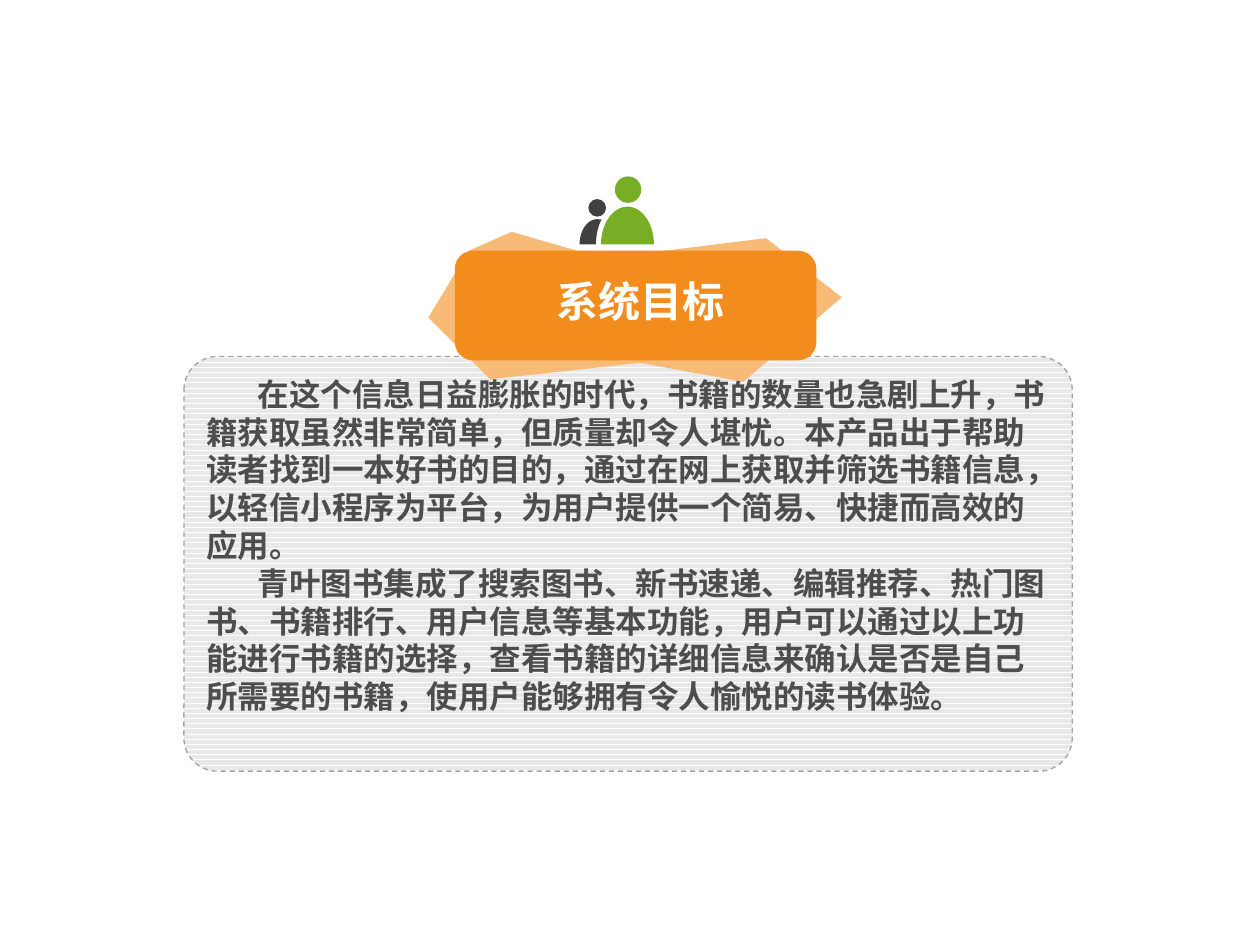
from math import cos, pi, sin

from pptx import Presentation
from pptx.dml.color import RGBColor
from pptx.enum.dml import MSO_LINE, MSO_PATTERN
from pptx.enum.shapes import MSO_SHAPE
from pptx.enum.text import MSO_ANCHOR, PP_ALIGN
from pptx.oxml.ns import qn
from pptx.util import Inches, Pt

# Content
TITLE = "系统目标"
PARAS = [
    "在这个信息日益膨胀的时代，书籍的数量也急剧上升，书籍获取虽然非常简单，但质量却令人堪忧。"
    "本产品出于帮助读者找到一本好书的目的，通过在网上获取并筛选书籍信息，"
    "以轻信小程序为平台，为用户提供一个简易、快捷而高效的应用。",
    "青叶图书集成了搜索图书、新书速递、编辑推荐、热门图书、书籍排行、用户信息等基本功能，"
    "用户可以通过以上功能进行书籍的选择，查看书籍的详细信息来确认是否是自己所需要的书籍，"
    "使用户能够拥有令人愉悦的读书体验。",
]
STAR = [(4.06, 1.84), (3.72, 1.99), (3.4, 2.52), (3.89, 3.01), (5.08, 2.88),
        (5.9, 3.03), (6.68, 2.36), (6.08, 1.89), (4.79, 2.05)]

LATIN, CJK = "Arial", "Noto Sans CJK SC"
WHITE = RGBColor(0xFF, 0xFF, 0xFF)
PALE = RGBColor(0xE8, 0xE8, 0xE8)
EDGE = RGBColor(0xA3, 0xA3, 0xA3)
INK = RGBColor(0x4D, 0x4D, 0x4D)
PEACH = RGBColor(0xF7, 0xBA, 0x77)
ORANGE = RGBColor(0xF2, 0x8C, 0x1C)
GREEN = RGBColor(0x77, 0xAE, 0x26)
DARK = RGBColor(0x40, 0x40, 0x40)

deck = Presentation()
deck.slide_width, deck.slide_height = Inches(10), Inches(7.5)
slide = deck.slides.add_slide(deck.slide_layouts[6])
shapes = slide.shapes


def paint(shape, color):
    shape.shadow.inherit = False
    shape.fill.solid()
    shape.fill.fore_color.rgb = color
    shape.line.fill.background()


def preset(kind, box, color):
    shape = shapes.add_shape(kind, *map(Inches, box))
    paint(shape, color)
    return shape


def outline(points, color):
    first, *rest = [(Inches(x), Inches(y)) for x, y in points]
    pen = shapes.build_freeform(*first, scale=1.0)
    pen.add_line_segments(rest, close=True)
    paint(pen.convert_to_shape(), color)


def arc(mid, radii, start, end, steps=24):
    """Points on an ellipse, angles in degrees, counted anticlockwise."""
    turns = [(start + (end - start) * i / steps) * pi / 180 for i in range(steps + 1)]
    return [(mid[0] + radii[0] * cos(t), mid[1] - radii[1] * sin(t)) for t in turns]


def write(par, text, size, color, font):
    run = par.add_run()
    run.text = text
    run.font.size, run.font.bold, run.font.name = Pt(size), True, font
    run.font.color.rgb = color
    east = run.font._element.makeelement(qn("a:ea"), {"typeface": CJK})
    run.font._element.append(east)


# Striped panel with the two paragraphs
panel = preset(MSO_SHAPE.ROUNDED_RECTANGLE, (1.46, 2.83, 7.05, 3.29), PALE)
panel.adjustments[0] = 0.08
panel.fill.patterned()
panel.fill.pattern = MSO_PATTERN.DARK_HORIZONTAL
panel.fill.fore_color.rgb, panel.fill.back_color.rgb = PALE, WHITE
panel.line.color.rgb = EDGE
panel.line.width, panel.line.dash_style = Pt(0.75), MSO_LINE.DASH
frame = panel.text_frame
frame.word_wrap, frame.vertical_anchor = True, MSO_ANCHOR.MIDDLE
frame.margin_bottom = Inches(0.35)
for i, text in enumerate(PARAS):
    par = frame.add_paragraph() if i else frame.paragraphs[0]
    par.alignment = PP_ALIGN.LEFT
    par._p.get_or_add_pPr().set("indent", str(Inches(0.41)))
    write(par, text, 18, INK, LATIN)

# Title plate on its jagged backing
outline(STAR, PEACH)
preset(MSO_SHAPE.ROUNDED_RECTANGLE, (3.61, 1.99, 2.87, 0.87), ORANGE)

# Adult and child figures
FOOT = 1.94
outline(arc((4.98, FOOT), (0.21, 0.3), 0, 180), GREEN)
preset(MSO_SHAPE.OVAL, (4.88, 1.4, 0.21, 0.21), GREEN)
back = arc((4.74, FOOT), (0.14, 0.2), 180, 80)
front = arc((4.98, FOOT), (0.25, 0.35), 145, 180)
outline(back + front, DARK)
preset(MSO_SHAPE.OVAL, (4.67, 1.58, 0.14, 0.14), DARK)

# Title
label = shapes.add_textbox(*map(Inches, (3.86, 2.14, 2.44, 0.5)))
label.text_frame.word_wrap = True
head = label.text_frame.paragraphs[0]
head.alignment = PP_ALIGN.CENTER
write(head, TITLE, 24, WHITE, CJK)

deck.save("out.pptx")
